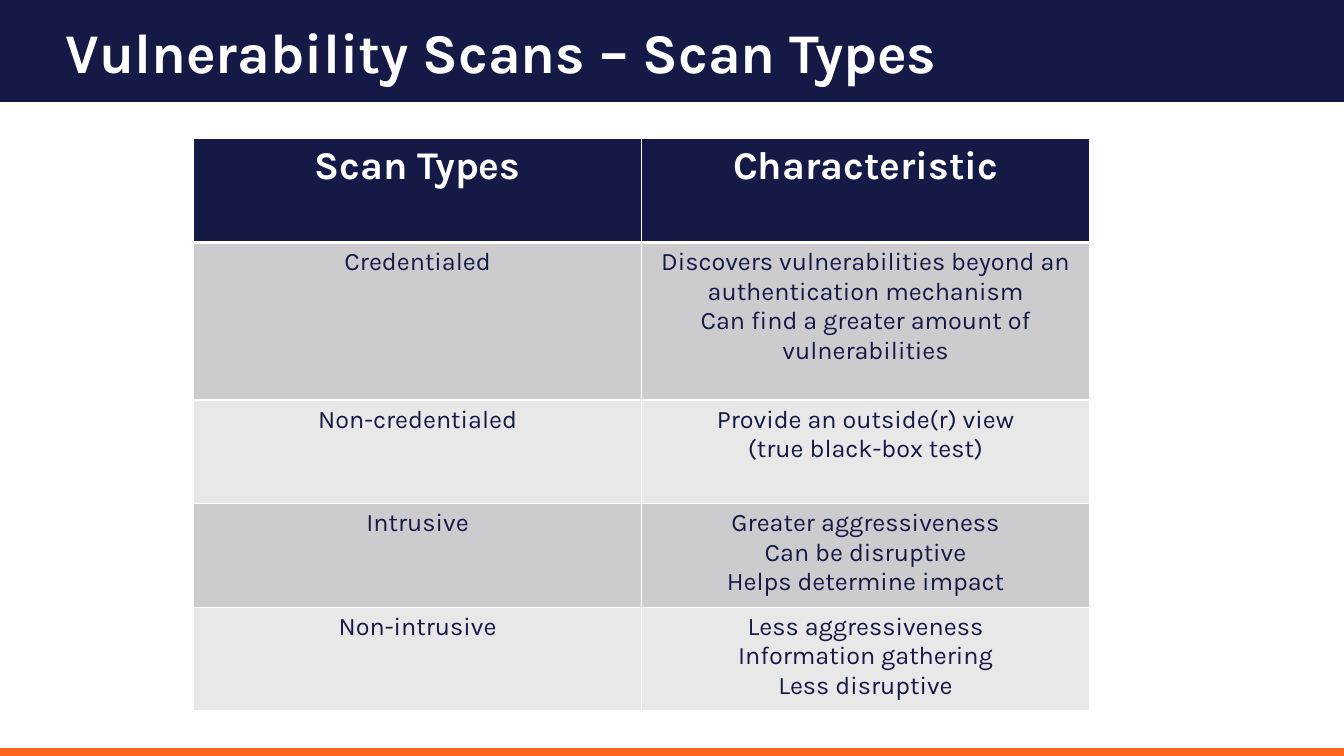
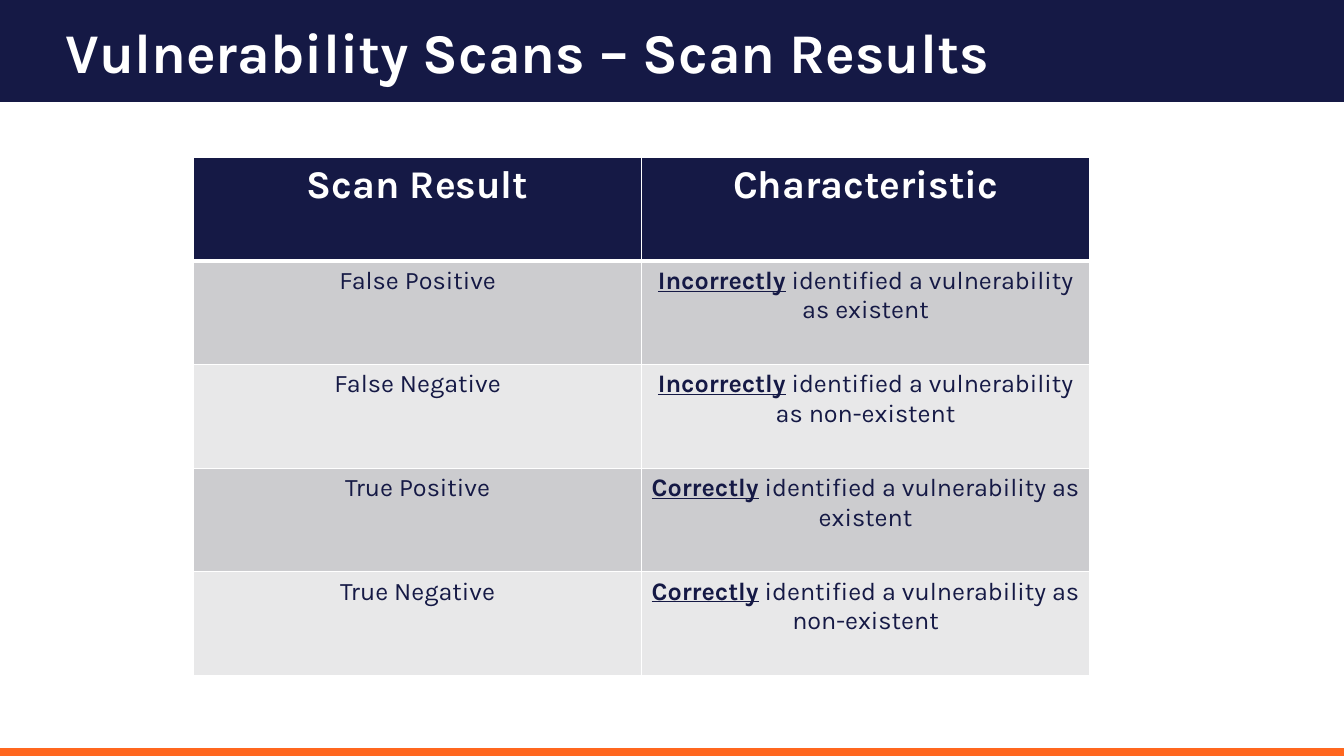
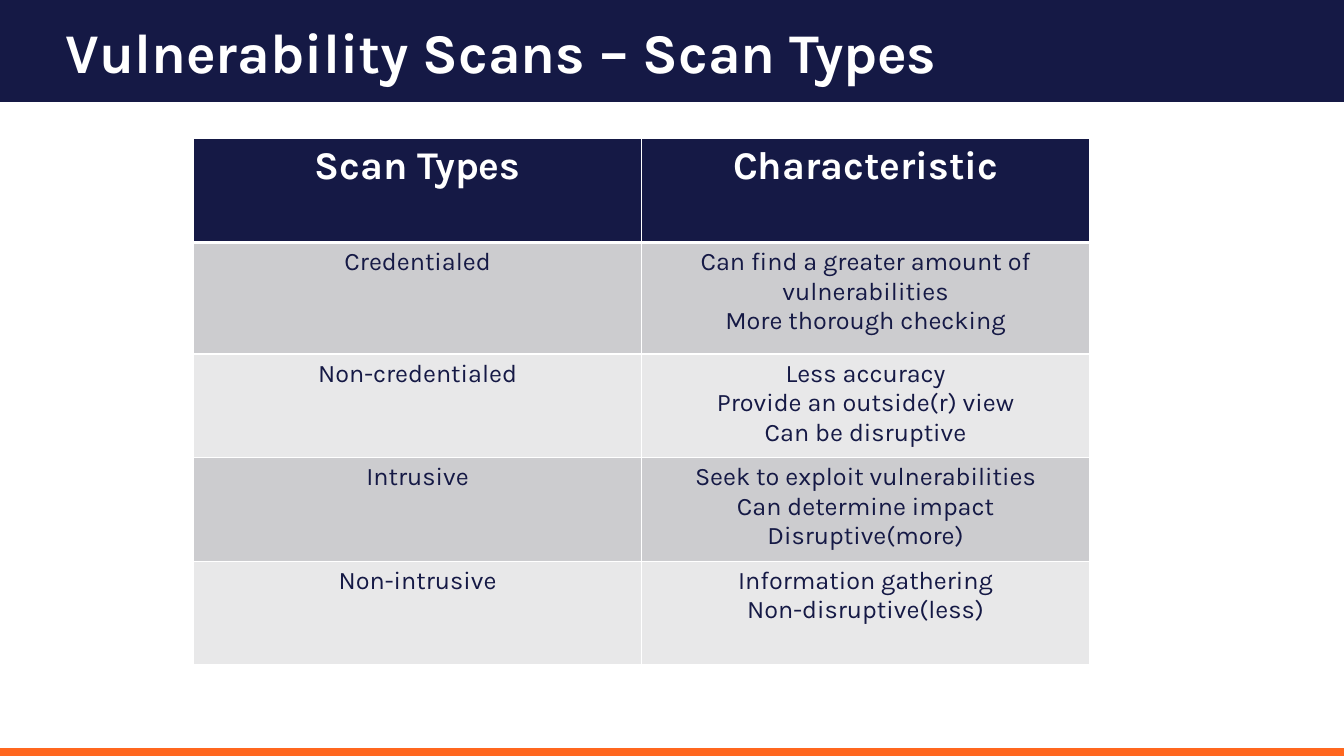
from dataclasses import dataclass

from lxml import etree
from pptx import Presentation
from pptx import util as u
from pptx.dml.color import RGBColor
from pptx.enum import shapes, text
from pptx.oxml import ns


@dataclass(frozen=True)
class Theme:
    font: str = "Karla"
    navy: str = "151945"
    orange: str = "FF671F"
    white: str = "FFFFFF"
    bands: tuple = ("E8E8E9", "CCCCCF")
    title_size: int = 40
    header_size: int = 28
    body_size: int = 18
    thin_line: int = 1
    thick_line: int = 3


theme = Theme()


def add_span(para, words, size, color, bold=False, underline=False):
    span = para.add_run()
    span.text = words
    span.font.name = theme.font
    span.font.size = u.Pt(size)
    span.font.color.rgb = RGBColor.from_string(color)
    span.font.bold = bold
    span.font.underline = underline


def add_border(cell, side, points):
    properties = cell._tc.get_or_add_tcPr()
    line = etree.SubElement(properties, ns.qn(f"a:ln{side}"), w=str(u.Pt(points)))
    fill = etree.SubElement(line, ns.qn("a:solidFill"))
    etree.SubElement(fill, ns.qn("a:srgbClr"), val=theme.white)


row_height = 2.61
column_width = 11.29
table_left = 4.88

slides = [
    {
        "title": "Vulnerability Scans – Scan Types",
        "top": 3.5,
        "first_height": 3.97,
        "rows": [
            ("Scan Types", ["Characteristic"]),
            ("Credentialed", [
                "Discovers vulnerabilities beyond an authentication mechanism",
                "Can find a greater amount of vulnerabilities",
            ]),
            ("Non-credentialed", ["Provide an outside(r) view", "(true black-box test)"]),
            ("Intrusive", ["Greater aggressiveness", "Can be disruptive", "Helps determine impact"]),
            ("Non-intrusive", ["Less aggressiveness", "Information gathering", "Less disruptive"]),
        ],
    },
    {
        "title": "Vulnerability Scans – Scan Results",
        "top": 3.97,
        "first_height": row_height,
        "rows": [
            ("Scan Result", ["Characteristic"]),
            ("False Positive", ["*Incorrectly* identified a vulnerability as existent"]),
            ("False Negative", ["*Incorrectly* identified a vulnerability as non-existent"]),
            ("True Positive", ["*Correctly* identified a vulnerability as existent"]),
            ("True Negative", ["*Correctly* identified a vulnerability as non-existent"]),
        ],
    },
    {
        "title": "Vulnerability Scans – Scan Types",
        "top": 3.5,
        "first_height": 2.81,
        "rows": [
            ("Scan Types", ["Characteristic"]),
            ("Credentialed", [
                "Can find a greater amount of vulnerabilities",
                "More thorough checking",
            ]),
            ("Non-credentialed", ["Less accuracy", "Provide an outside(r) view", "Can be disruptive"]),
            ("Intrusive", ["Seek to exploit vulnerabilities", "Can determine impact", "Disruptive(more)"]),
            ("Non-intrusive", ["Information gathering", "Non-disruptive(less)"]),
        ],
    },
]

deck = Presentation()
deck.slide_width = u.Cm(33.87)
deck.slide_height = u.Cm(19.05)
layout = deck.slide_layouts[5]
pages = [deck.slides.add_slide(layout) for slide in slides]

for left, top, width, height, color in [
    (-0.2, -0.2, 34.29, 2.77, theme.navy),
    (0, 18.85, 33.87, 0.2, theme.orange),
]:
    band = pages[0].shapes.add_shape(
        shapes.MSO_SHAPE.RECTANGLE, u.Cm(left), u.Cm(top), u.Cm(width), u.Cm(height)
    )
    band.shadow.inherit = False
    band.fill.solid()
    band.fill.fore_color.rgb = RGBColor.from_string(color)
    band.line.fill.background()
    layout.shapes.element.insert(2, band.element)

for page, slide in zip(pages, slides):
    title = page.shapes.title
    title.left, title.top = u.Cm(1.4), u.Cm(-0.05)
    title.width, title.height = u.Cm(31.04), u.Cm(2.9)
    frame = title.text_frame
    frame.word_wrap = True
    frame.auto_size = text.MSO_AUTO_SIZE.NONE
    frame.vertical_anchor = text.MSO_ANCHOR.MIDDLE
    para = frame.paragraphs[0]
    para.alignment = text.PP_ALIGN.LEFT
    para.line_spacing = 0.9
    add_span(para, slide["title"], theme.title_size, theme.white, bold=True)

    rows = slide["rows"]
    heights = [row_height, slide["first_height"]] + [row_height] * (len(rows) - 2)
    table = page.shapes.add_table(
        len(rows), 2, u.Cm(table_left), u.Cm(slide["top"]),
        u.Cm(2 * column_width), u.Cm(sum(heights)),
    ).table
    table.horz_banding = False
    for column in table.columns:
        column.width = u.Cm(column_width)

    for index, (label, traits) in enumerate(rows):
        table.rows[index].height = u.Cm(heights[index])
        header = index == 0
        size = theme.header_size if header else theme.body_size
        color = theme.white if header else theme.navy
        fill = theme.navy if header else theme.bands[index % 2]
        for cell, lines in zip(table.rows[index].cells, ([label], traits)):
            for side in "LRTB":
                thick = (index, side) in [(0, "B"), (1, "T")]
                add_border(cell, side, theme.thick_line if thick else theme.thin_line)
            cell.fill.solid()
            cell.fill.fore_color.rgb = RGBColor.from_string(fill)
            for number, line in enumerate(lines):
                frame = cell.text_frame
                para = frame.add_paragraph() if number else frame.paragraphs[0]
                para.alignment = text.PP_ALIGN.CENTER
                for part, words in enumerate(line.split("*")):
                    strong = part % 2 == 1
                    if words:
                        add_span(para, words, size, color, header or strong, strong)

deck.save("out.pptx")
